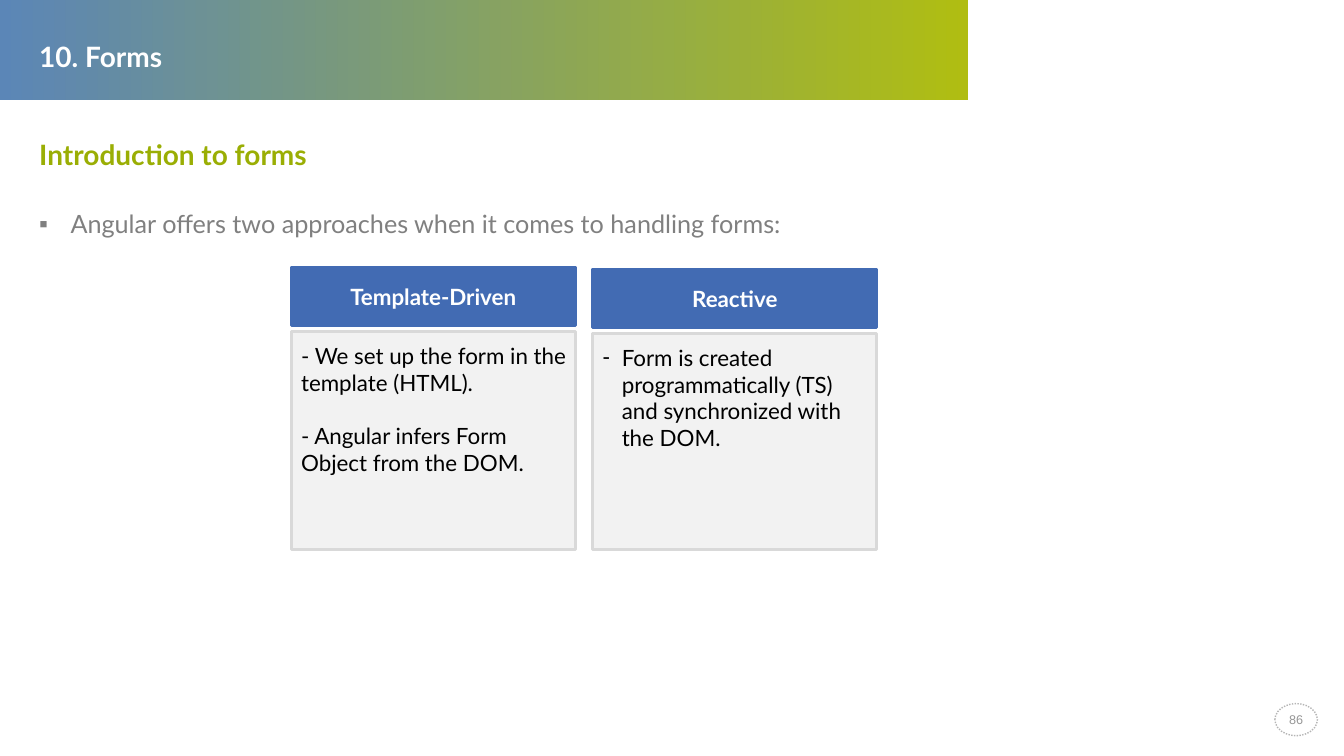
from dataclasses import dataclass

from lxml.etree import SubElement
from pptx import Presentation
from pptx.dml.color import RGBColor
from pptx.enum.dml import MSO_LINE
from pptx.enum.shapes import MSO_SHAPE
from pptx.enum.text import MSO_ANCHOR, PP_ALIGN
from pptx.oxml.ns import qn
from pptx.shapes.autoshape import Shape
from pptx.slide import Slide
from pptx.text.text import _Paragraph
from pptx.util import Cm, Pt


@dataclass(frozen=True)
class Theme:
    font: str = "Lato"
    number_font: str = "Arial"
    white: str = "FFFFFF"
    black: str = "000000"
    blue: str = "426BB3"
    band_start: str = "4F7DB2"
    band_end: str = "AAB900"
    heading: str = "9AAE04"
    grey: str = "808080"
    panel: str = "F2F2F2"
    panel_edge: str = "D9D9D9"
    badge_edge: str = "B5B5B5"
    badge_text: str = "969696"
    title_size: int = 20
    lead_size: int = 18
    card_size: int = 16
    number_size: int = 9


@dataclass(frozen=True)
class Box:
    """Left, top, width and height in centimetres."""
    left: float
    top: float
    width: float
    height: float

    def lengths(self) -> tuple[Cm, Cm, Cm, Cm]:
        return Cm(self.left), Cm(self.top), Cm(self.width), Cm(self.height)


@dataclass(frozen=True)
class Approach:
    name: str
    points: tuple[str, ...]
    top: float
    bullet: str = ""


THEME = Theme()
MARGIN = 0.74
CARD_LEFT, CARD_PITCH, CARD_WIDTH = 7.34, 7.6, 7.16
CARD_BOTTOM = 13.84
HEADER_HEIGHT, BODY_OFFSET = 1.47, 1.63

APPROACHES = (
    Approach("Template-Driven",
             ("- We set up the form in the template (HTML).",
              "- Angular infers Form Object from the DOM."), 6.73),
    Approach("Reactive",
             ("Form is created programmatically (TS) and synchronized with the DOM.",),
             6.78, "-"),
)


def add_run(paragraph: _Paragraph, text: str, size: float, color: str,
            bold: bool = False, font: str = THEME.font) -> None:
    run = paragraph.add_run()
    run.text = text
    run.font.name = font
    run.font.size = Pt(size)
    run.font.bold = bold
    run.font.color.rgb = RGBColor.from_string(color)


def add_bullet(paragraph: _Paragraph, symbol: str, indent: float) -> None:
    properties = paragraph._p.get_or_add_pPr()
    properties.set("marL", str(Cm(indent)))
    properties.set("indent", str(-Cm(indent)))
    SubElement(properties, qn("a:buFont")).set("typeface", THEME.number_font)
    SubElement(properties, qn("a:buChar")).set("char", symbol)


def add_text(slide: Slide, box: Box) -> Shape:
    text = slide.shapes.add_textbox(*box.lengths())
    text.text_frame.word_wrap = True
    return text


def add_filled(slide: Slide, kind: MSO_SHAPE, box: Box, fill: str,
               edge: str, edge_width: float) -> Shape:
    shape = slide.shapes.add_shape(kind, *box.lengths())
    shape.shadow.inherit = False
    shape.fill.solid()
    shape.fill.fore_color.rgb = RGBColor.from_string(fill)
    shape.line.color.rgb = RGBColor.from_string(edge)
    shape.line.width = Pt(edge_width)
    shape.text_frame.vertical_anchor = MSO_ANCHOR.MIDDLE
    shape.text_frame.paragraphs[0].alignment = PP_ALIGN.CENTER
    return shape


def add_band(slide: Slide) -> None:
    band = slide.shapes.add_shape(MSO_SHAPE.ROUNDED_RECTANGLE,
                                  *Box(0, 0, 24.4, 2.52).lengths())
    band.adjustments[0] = 0.007
    band.shadow.inherit = False
    band.line.fill.background()
    band.fill.gradient()
    band.fill.gradient_angle = 0
    for stop, color in zip(band.fill.gradient_stops, (THEME.band_start, THEME.band_end)):
        stop.color.rgb = RGBColor.from_string(color)
    for tint in band._element.spPr.iter(qn("a:srgbClr")):
        SubElement(tint, qn("a:alpha")).set("val", "92000")


def add_page_number(slide: Slide, number: str) -> None:
    badge = add_filled(slide, MSO_SHAPE.OVAL, Box(32.13, 17.73, 1.07, 0.81),
                       THEME.white, THEME.badge_edge, 1)
    badge.line.dash_style = MSO_LINE.ROUND_DOT
    frame = badge.text_frame
    frame.margin_left = frame.margin_right = frame.margin_top = frame.margin_bottom = 0
    frame.word_wrap = False
    add_run(frame.paragraphs[0], number, THEME.number_size, THEME.badge_text,
            font=THEME.number_font)


def add_approach(slide: Slide, approach: Approach, left: float) -> None:
    # Panel with its points
    body_top = approach.top + BODY_OFFSET
    body_height = CARD_BOTTOM - body_top
    add_filled(slide, MSO_SHAPE.RECTANGLE, Box(left, body_top, CARD_WIDTH, body_height),
               THEME.panel, THEME.panel_edge, 2)
    points = add_text(slide, Box(left, body_top + 0.13, 7.24, 4)).text_frame
    for index, point in enumerate(approach.points):
        paragraph = points.add_paragraph() if index else points.paragraphs[0]
        if index:
            paragraph.space_before = Pt(19.2)
        if approach.bullet:
            add_bullet(paragraph, approach.bullet, 0.48)
        add_run(paragraph, point, THEME.card_size, THEME.black)

    # Header
    header = add_filled(slide, MSO_SHAPE.RECTANGLE,
                        Box(left, approach.top, CARD_WIDTH, HEADER_HEIGHT),
                        THEME.blue, THEME.blue, 2)
    add_run(header.text_frame.paragraphs[0], approach.name,
            THEME.card_size, THEME.white, bold=True)


def main() -> None:
    presentation = Presentation()
    presentation.slide_width, presentation.slide_height = Cm(33.87), Cm(19.05)
    slide = presentation.slides.add_slide(presentation.slide_layouts[6])

    # Frame of the slide
    add_band(slide)
    add_page_number(slide, "86")

    # Title and heading
    title = add_text(slide, Box(MARGIN, 0.86, 22.61, 1.19))
    add_run(title.text_frame.paragraphs[0], "10. Forms",
            THEME.title_size, THEME.white, bold=True)
    heading = add_text(slide, Box(MARGIN, 3.33, 32, 1.19))
    add_run(heading.text_frame.paragraphs[0], "Introduction to forms",
            THEME.title_size, THEME.heading, bold=True)

    # Lead sentence
    lead = add_text(slide, Box(MARGIN, 4.75, 31.6, 1.32)).text_frame.paragraphs[0]
    lead.line_spacing = 1.5
    add_bullet(lead, "▪", 0.79)
    add_run(lead, "Angular offers two approaches when it comes to handling forms:",
            THEME.lead_size, THEME.grey)

    # The two approaches
    for column, approach in enumerate(APPROACHES):
        add_approach(slide, approach, CARD_LEFT + column * CARD_PITCH)

    presentation.save("out.pptx")


if __name__ == "__main__":
    main()
